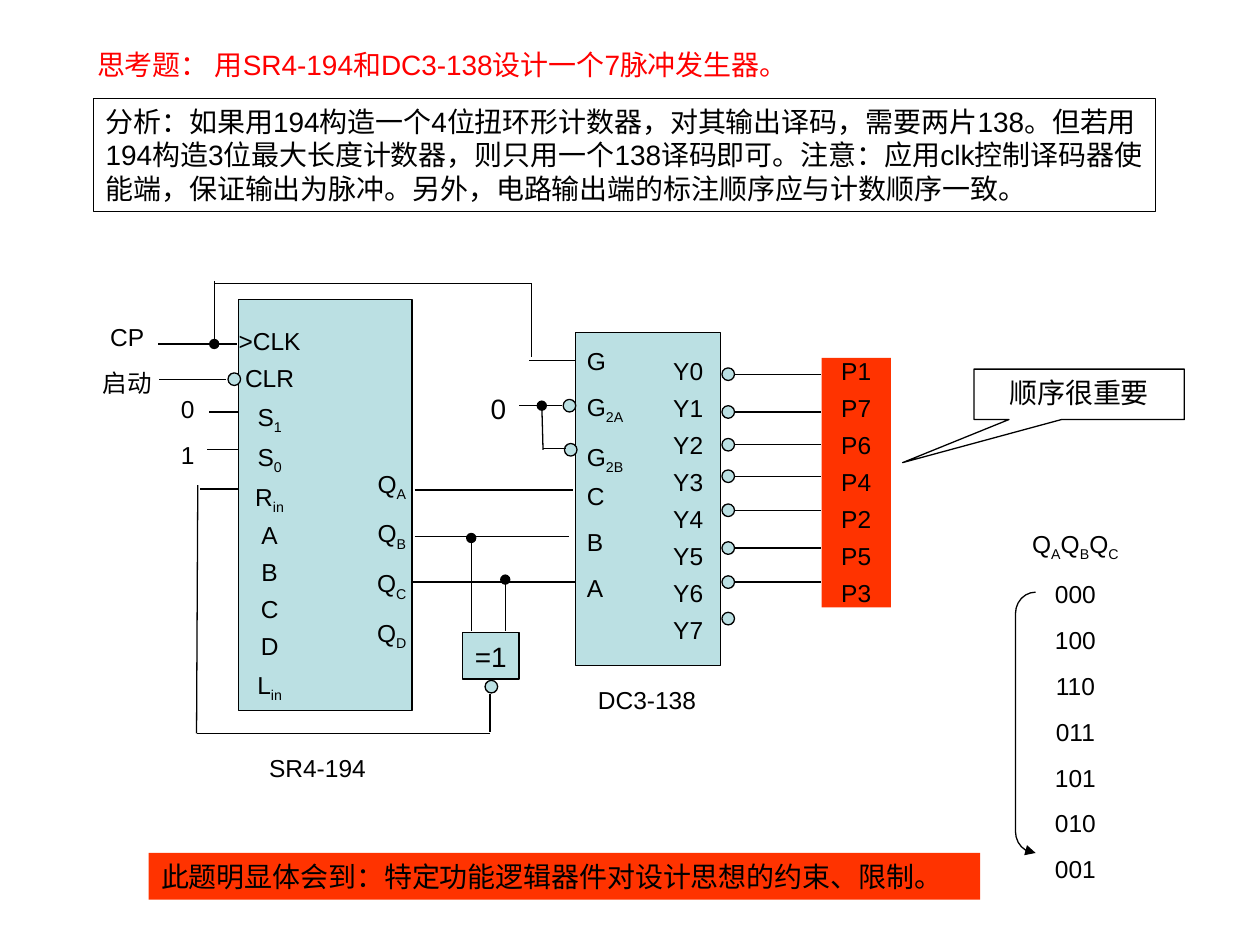
from collections import namedtuple

from lxml import etree
from pptx import Presentation
from pptx import util as u
from pptx.dml.color import RGBColor
from pptx.enum import shapes, text
from pptx.oxml import ns

COLORS = {"ink": "000000", "title": "FF0000", "chip": "BBE0E3", "accent": "FF3300"}
BUBBLE = 0.1
LEFT, CENTER, RIGHT = text.PP_ALIGN.LEFT, text.PP_ALIGN.CENTER, text.PP_ALIGN.RIGHT
Box = namedtuple("Box", "left top width height")


def place(box, dx, dy, width, height):
    """Return a box offset from the corner of another box."""
    return Box(box.left + dx, box.top + dy, width, height)


def emu(box):
    """Convert a box in inches to slide lengths."""
    return [u.Inches(round(value, 2)) for value in box]


def color(name):
    """Look up a palette colour."""
    return RGBColor.from_string(COLORS[name])


def write(frame, lines, size=14, ink="ink", align=CENTER, before=9.4, spacing=None,
          anchor=text.MSO_ANCHOR.TOP, wrap=True):
    """Fill a text frame with lines, where ~x~ marks a subscript."""
    frame.auto_size = text.MSO_AUTO_SIZE.NONE
    frame.word_wrap = wrap
    frame.vertical_anchor = anchor
    frame.margin_left = frame.margin_right = u.Inches(0.1)
    frame.margin_top = frame.margin_bottom = u.Inches(0.05)
    for row, line in enumerate(lines):
        paragraph = frame.add_paragraph() if row else frame.paragraphs[0]
        paragraph.alignment = align
        paragraph.space_before = u.Pt(before if row else 0)
        if spacing:
            paragraph.line_spacing = spacing
        for index, part in enumerate(line.split("~")):
            if not part:
                continue
            run = paragraph.add_run()
            run.text = part
            run.font.name = "Arial"
            run.font.size = u.Pt(size)
            run.font.color.rgb = color(ink)
            if index % 2:
                run._r.get_or_add_rPr().set("baseline", "-25000")


def label(slide, box, lines, **style):
    """Add a plain text box."""
    write(slide.shapes.add_textbox(*emu(box)).text_frame, lines, **style)


def outline(line):
    """Give a line the thin black stroke."""
    line.color.rgb = color("ink")
    line.width = u.Pt(0.75)


def block(slide, box, kind=shapes.MSO_SHAPE.RECTANGLE, fill=None, border=True,
          lines=(), **style):
    """Add a preset shape with optional fill, border and text."""
    shape = slide.shapes.add_shape(kind, *emu(box))
    shape.shadow.inherit = False
    if fill:
        shape.fill.solid()
        shape.fill.fore_color.rgb = color(fill)
    else:
        shape.fill.background()
    if border:
        outline(shape.line)
    else:
        shape.line.fill.background()
    if lines:
        write(shape.text_frame, lines, **style)
    return shape


def bubble(slide, box, dx, dy):
    """Add an inversion bubble."""
    block(slide, place(box, dx, dy, BUBBLE, BUBBLE), shapes.MSO_SHAPE.OVAL, fill="chip")


def end_mark(line, tag, kind):
    """Put a mark on one end of a line."""
    etree.SubElement(line._get_or_add_ln(), ns.qn(tag), type=kind)


def wire(slide, box, x1, y1, x2, y2, dot=False):
    """Draw a wire, with a junction dot at its end if asked."""
    start, end = place(box, x1, y1, 0, 0), place(box, x2, y2, 0, 0)
    connector = slide.shapes.add_connector(
        shapes.MSO_CONNECTOR.STRAIGHT, *emu(start[:2]), *emu(end[:2]))
    outline(connector.line)
    if dot:
        end_mark(connector.line, "a:tailEnd", "oval")
    etree.SubElement(connector._element.spPr, ns.qn("a:effectLst"))


def heading(slide, box):
    """Place the exercise title and the analysis under it."""
    title = slide.shapes.title
    title.left, title.top, title.width, title.height = emu(place(box, 0, 0, 8.15, 0.37))
    write(title.text_frame, ["思考题： 用SR4-194和DC3-138设计一个7脉冲发生器。"],
          size=16, ink="title", align=LEFT)
    analysis = ("分析：如果用194构造一个4位扭环形计数器，对其输出译码，需要两片138。"
                "但若用194构造3位最大长度计数器，则只用一个138译码即可。"
                "注意：应用clk控制译码器使能端，保证输出为脉冲。"
                "另外，电路输出端的标注顺序应与计数顺序一致。")
    block(slide, place(box, 0.07, 0.45, 8.43, 0.9), lines=[analysis], size=16, align=LEFT)


def counter(slide, box):
    """Draw the shift register with its inputs and pin names."""
    block(slide, box, fill="chip")
    pins = [">CLK", "CLR", "S~1~", "S~0~", "R~in~", "A", "B", "C", "D", "L~in~"]
    label(slide, place(box, -0.16, 0.22, 0.82, 2.92), pins, spacing=0.7)
    bubble(slide, box, -0.08, 0.58)
    for near, far, y in [(-0.01, -0.64, 0.35), (-0.1, -0.63, 0.63),
                         (0, -0.23, 0.89), (0, -0.25, 1.19)]:
        wire(slide, box, near, y, far, y)
    label(slide, place(box, -0.57, 0.7, 0.34, 0.69), ["0", "1"])
    label(slide, place(box, -1.18, 0.13, 0.6, 0.69), ["CP", "启动"])
    label(slide, place(box, 0.89, 1.29, 0.66, 1.53), [f"Q~{bit}~" for bit in "ABCD"])
    label(slide, place(box, 0.07, 3.55, 1.12, 0.34), ["SR4-194"])


def feedback(slide, box):
    """Draw the gate, the state wires it taps and its return path."""
    block(slide, box, fill="chip", lines=["=1"], size=16,
          anchor=text.MSO_ANCHOR.MIDDLE, wrap=False)
    bubble(slide, box, 0.18, 0.38)
    for start, end, y in [(-0.38, 0.88, -1.13), (-0.38, 0.85, -0.76), (-0.4, 0.89, -0.4)]:
        wire(slide, box, start, y, end, y)
    for x, y in [(0.07, -0.75), (0.34, -0.42)]:
        wire(slide, box, x, -0.01, x, y, dot=True)
    for ends in [(0.22, 0.49, 0.22, 0.79), (0.22, 0.8, -2.11, 0.8),
                 (-2.11, 0.8, -2.1, -1.17), (-2.08, -1.14, -1.77, -1.14)]:
        wire(slide, box, *ends)


def decoder(slide, box):
    """Draw the decoder with its enables, selects and outputs."""
    block(slide, box, fill="chip")
    label(slide, place(box, 0.65, 0.2, 0.46, 2.26), [f"Y{n}" for n in range(8)],
          align=RIGHT, spacing=0.7)
    output_rows = [0.33, 0.63, 0.89, 1.14, 1.41, 1.71, 1.98, 2.27]
    for y in output_rows:
        bubble(slide, box, 1.16, y - BUBBLE / 2)
    for y in output_rows[:-1]:
        wire(slide, box, 1.26, y, 1.95, y)
    label(slide, place(box, -0.01, 1.13, 0.38, 1.05), list("CBA"), align=LEFT)
    label(slide, place(box, -0.01, 0.06, 0.53, 1.11), ["G", "G~2A~", "G~2B~"], align=LEFT)
    bubble(slide, box, -0.1, 0.53)
    bubble(slide, box, -0.09, 0.88)
    wire(slide, box, -0.11, 0.58, -0.45, 0.58)
    wire(slide, box, -0.08, 0.92, -0.26, 0.92)
    wire(slide, box, -0.26, 0.93, -0.27, 0.58, dot=True)
    label(slide, place(box, -0.86, 0.42, 0.49, 0.37), ["0"], size=16)
    label(slide, place(box, -0.19, 2.75, 1.51, 0.34), ["DC3-138"])


def clock_line(slide, box):
    """Run the clock from its junction over the counter to the enable pin."""
    right = box.width
    wire(slide, box, right + 0.34, 0.61, right - 0.02, 0.61)
    wire(slide, box, right, 0.58, right, 0)
    wire(slide, box, right, 0, 0, 0)
    wire(slide, box, 0, -0.02, 0, 0.48, dot=True)


def pulses(slide, box):
    """List the pulse outputs and stress their order."""
    block(slide, box, fill="accent", border=False, spacing=0.7,
          lines=[f"P{n}" for n in (1, 7, 6, 4, 2, 5, 3)])
    callout = block(slide, place(box, 1.21, 0.09, 1.67, 0.4),
                    shapes.MSO_SHAPE.RECTANGULAR_CALLOUT, lines=["顺序很重要"], size=16)
    callout.adjustments[0], callout.adjustments[1] = -0.839, 1.356


def state_sequence(slide, box):
    """List the counter states with the arrow that closes the cycle."""
    states = ["000", "100", "110", "011", "101", "010", "001"]
    label(slide, box, ["Q~A~Q~B~Q~C~"] + states)
    cycle = block(slide, place(box, 0.28, 0.55, 0.16, 2.07), shapes.MSO_SHAPE.LEFT_BRACKET)
    cycle.adjustments[0] = 1.06
    end_mark(cycle.line, "a:headEnd", "triangle")


def conclusion(slide, box):
    """Add the closing remark."""
    block(slide, box, fill="accent", border=False, size=16, align=LEFT,
          lines=["此题明显体会到：特定功能逻辑器件对设计思想的约束、限制。"])


def main():
    """Build the slide and save it."""
    deck = Presentation()
    deck.slide_width, deck.slide_height = u.Inches(10), u.Inches(7.5)
    slide = deck.slides.add_slide(deck.slide_layouts[5])
    heading(slide, Box(0.67, 0.33, 8.5, 1.35))
    conclusion(slide, Box(1.18, 6.77, 6.6, 0.37))
    state_sequence(slide, Box(7.78, 4.15, 1.51, 2.85))
    counter(slide, Box(1.89, 2.38, 1.38, 3.26))
    feedback(slide, Box(3.67, 5.02, 0.45, 0.37))
    decoder(slide, Box(4.57, 2.64, 1.15, 2.64))
    clock_line(slide, Box(1.7, 2.25, 2.52, 0.61))
    pulses(slide, Box(6.52, 2.84, 0.55, 1.98))
    deck.save("out.pptx")


if __name__ == "__main__":
    main()
